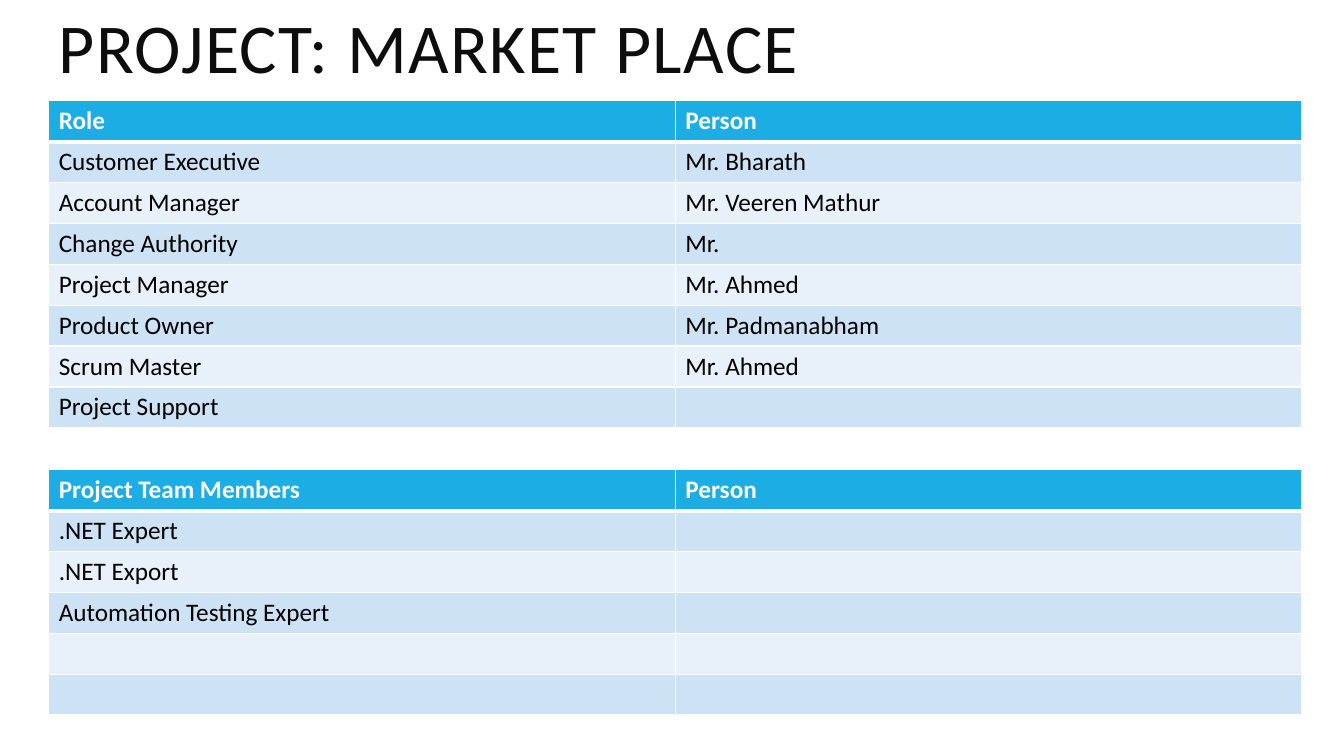
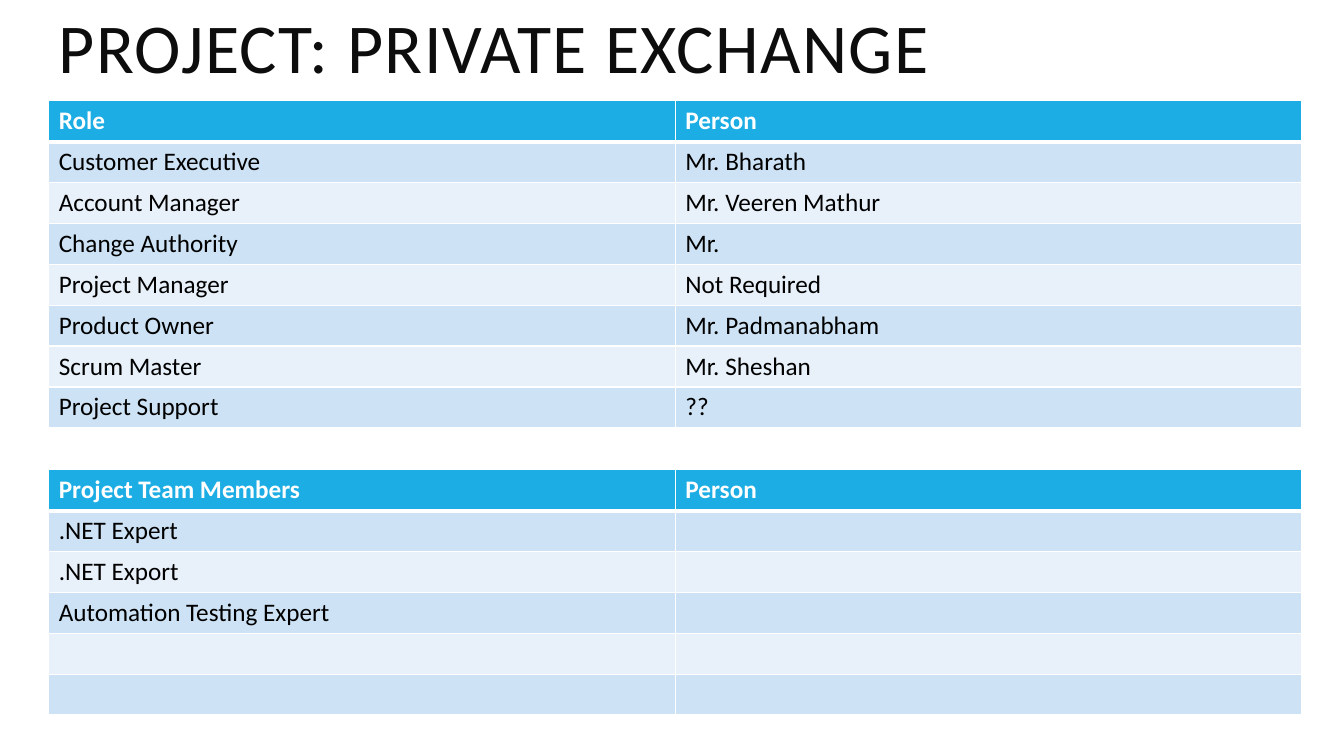
from lxml.etree import SubElement
from pptx import Presentation
from pptx.dml.color import RGBColor
from pptx.enum.text import MSO_ANCHOR
from pptx.oxml.ns import qn
from pptx.util import Pt

FONT = "Calibri"
WHITE, BLACK, INK = "FFFFFF", "000000", "0D0D0D"
HEADER, BANDS = "1CADE4", ("CDE3F5", "E8F1FA")
LEFT, WIDTH, ROW = 34.8, 895.2, 29.2
TITLE_TOP, TITLE_HEIGHT = 4.3, 67.7
ROLES_TOP, TEAM_TOP = 72, 335.6

ROLES = ["Customer Executive", "Account Manager", "Change Authority",
         "Project Manager", "Product Owner", "Scrum Master", "Project Support"]
TEAM = [("Project Team Members", "Person"), (".NET Expert", ""),
        (".NET Export", ""), ("Automation Testing Expert", ""),
        ("", ""), ("", "")]
PROJECTS = {
    "PROJECT: MARKET PLACE": [
        "Mr. Bharath", "Mr. Veeren Mathur", "Mr.", "Mr. Ahmed",
        "Mr. Padmanabham", "Mr. Ahmed", ""],
    "PROJECT: PRIVATE EXCHANGE": [
        "Mr. Bharath", "Mr. Veeren Mathur", "Mr.", "Not Required",
        "Mr. Padmanabham", "Mr. Sheshan", "??"],
}


def rgb(value):
    """Return the colour for a hex string."""
    return RGBColor.from_string(value)


def style_font(font, size, color, bold=False):
    """Set the typeface, size, colour and weight of a font."""
    font.name, font.size, font.bold = FONT, Pt(size), bold
    font.color.rgb = rgb(color)


def add_title(slide, text):
    """Add the slide title with slightly spaced letters."""
    sp = slide.shapes.add_textbox(
        Pt(LEFT), Pt(TITLE_TOP), Pt(WIDTH), Pt(TITLE_HEIGHT))
    tf = sp.text_frame
    tf.word_wrap = True
    tf.vertical_anchor = MSO_ANCHOR.MIDDLE
    p = tf.paragraphs[0]
    p.text = text
    p.line_spacing = 0.8
    r = p.runs[0]
    style_font(r.font, 50, INK)
    r.font._element.set("spc", "100")


def set_borders(cell, top, bottom):
    """Draw white cell borders with the given top and bottom widths."""
    tc_pr = cell._tc.get_or_add_tcPr()
    for side, width in (("L", 1), ("R", 1), ("T", top), ("B", bottom)):
        ln = SubElement(tc_pr, qn(f"a:ln{side}"), w=str(Pt(width)))
        fill = SubElement(ln, qn("a:solidFill"))
        SubElement(fill, qn("a:srgbClr"), val=WHITE)


def style_cell(cell, row):
    """Style a cell as part of the header or of a banded row."""
    header = row == 0
    set_borders(cell, 3 if row == 1 else 1, 3 if header else 1)
    cell.fill.solid()
    cell.fill.fore_color.rgb = rgb(HEADER if header else BANDS[(row - 1) % 2])
    for r in cell.text_frame.paragraphs[0].runs:
        style_font(r.font, 18, WHITE if header else BLACK, header)


def add_people_table(slide, top, rows):
    """Add a two-column table of roles and people."""
    table = slide.shapes.add_table(
        len(rows), 2, Pt(LEFT), Pt(top), Pt(WIDTH), Pt(ROW * len(rows))).table
    for i, values in enumerate(rows):
        table.rows[i].height = Pt(ROW)
        for cell, value in zip(table.rows[i].cells, values):
            if value:
                cell.text_frame.text = value
            style_cell(cell, i)


def main():
    """Build one slide for each project."""
    prs = Presentation()
    prs.slide_width, prs.slide_height = Pt(960), Pt(540)
    for title, people in PROJECTS.items():
        slide = prs.slides.add_slide(prs.slide_layouts[6])
        add_title(slide, title)
        add_people_table(
            slide, ROLES_TOP, [("Role", "Person"), *zip(ROLES, people)])
        add_people_table(slide, TEAM_TOP, TEAM)
    prs.save("out.pptx")


if __name__ == "__main__":
    main()
